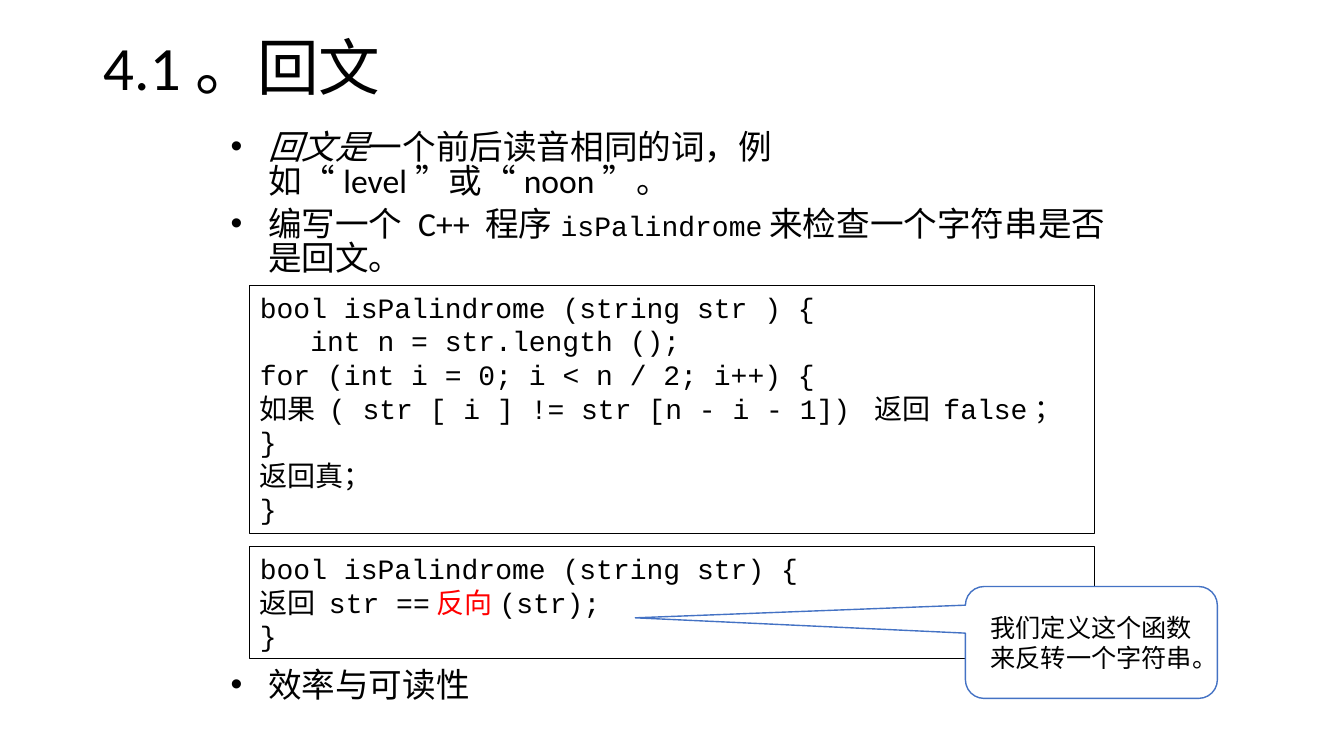
import pptx
import pptx.util
import pptx.dml.color
import pptx.enum.shapes
import pptx.enum.text
import pptx.oxml
import pptx.oxml.ns

Cm = pptx.util.Cm
Pt = pptx.util.Pt
Shape = pptx.enum.shapes.MSO_SHAPE
Align = pptx.enum.text.PP_ALIGN
Anchor = pptx.enum.text.MSO_ANCHOR


def color(code):
    return pptx.dml.color.RGBColor.from_string(code)


class Deck:
    sans = "Calibri"
    mono = "Courier New"
    ink = "000000"
    paper = "FFFFFF"
    red = "FF0000"
    blue = "4472C4"

    def __init__(self):
        self.show = pptx.Presentation()
        self.show.slide_width = Cm(33.87)
        self.show.slide_height = Cm(19.05)
        self.slide = self.show.slides.add_slide(self.show.slide_layouts[5])

    def style(self, para, size, face):
        para.font.size = Pt(size)
        para.font.name = face
        para.font.color.rgb = color(self.ink)

    def fill(self, frame, rows, size, face):
        frame.word_wrap = True
        for num, row in enumerate(rows):
            para = frame.add_paragraph() if num else frame.paragraphs[0]
            para.alignment = Align.LEFT
            self.style(para, size, face)
            for part in [row] if isinstance(row, str) else row:
                text, look = (part, {}) if isinstance(part, str) else part
                run = para.add_run()
                run.text = text
                run.font.italic = look.get("italic")
                if "face" in look:
                    run.font.name = look["face"]
                    run.font.size = Pt(look["size"])
                if "tint" in look:
                    run.font.color.rgb = color(look["tint"])
        return frame.paragraphs

    def indent(self, para, left, first=0):
        props = para._p.get_or_add_pPr()
        props.set("marL", str(Cm(left)))
        props.set("indent", str(Cm(first)))
        return props

    def title(self, text, box):
        head = self.slide.shapes.title
        head.left, head.top, head.width, head.height = map(Cm, box)
        frame = head.text_frame
        frame.auto_size = pptx.enum.text.MSO_AUTO_SIZE.NONE
        frame.vertical_anchor = Anchor.MIDDLE
        self.fill(frame, [text], 44, self.sans)[0].line_spacing = 0.9

    def list(self, rows, box):
        frame = self.slide.shapes.add_textbox(*map(Cm, box)).text_frame
        for para in self.fill(frame, rows, 24, self.sans):
            para.line_spacing = 0.85
            para.space_after = Pt(6)
            props = self.indent(para, 0.95, -0.95)
            for tag, key, value in (("buFont", "typeface", "Arial"), ("buChar", "char", "•")):
                mark = pptx.oxml.ns.qn("a:" + tag)
                props.append(props.makeelement(mark, {key: value}))

    def shape(self, kind, box, edge, width):
        item = self.slide.shapes.add_shape(kind, *map(Cm, box))
        item.shadow.inherit = False
        item.fill.solid()
        item.fill.fore_color.rgb = color(self.paper)
        item.line.color.rgb = color(edge)
        item.line.width = Pt(width)
        return item

    def code(self, rows, box):
        frame = self.shape(Shape.RECTANGLE, box, self.ink, 0.75).text_frame
        frame.vertical_anchor = Anchor.TOP
        return self.fill(frame, rows, 20, self.mono)

    def note(self, text, box, tip):
        item = self.shape(Shape.ROUNDED_RECTANGULAR_CALLOUT, box, self.blue, 1)
        item.adjustments[0], item.adjustments[1] = tip
        item.text_frame.vertical_anchor = Anchor.MIDDLE
        para = self.fill(item.text_frame, [text], 18, self.sans)[0]
        para.alignment = Align.CENTER


def main():
    deck = Deck()
    deck.title("4.1。回文", (2.34, -0.05, 31.11, 3.68))
    deck.list([
        [("回文是", {"italic": True}), "一个前后读音相同的词，例如“level”或“noon”。"],
        ["编写一个 C++ 程序", ("isPalindrome", {"face": deck.mono, "size": 20}),
         "来检查一个字符串是否是回文。"],
    ], (5.56, 3.2, 22.58, 3.99))
    deck.list(["效率与可读性"], (5.56, 16.75, 22.58, 1.2))
    loop = deck.code([
        "bool isPalindrome (string str ) {",
        "int n = str.length ();",
        "for (int i = 0; i < n / 2; i++) {",
        "如果 ( str [ i ] != str [n - i - 1]) 返回 false；",
        "}",
        "返回真；",
        "}",
    ], (6.3, 7.19, 21.29, 6.25))
    deck.indent(loop[1], 1.27)
    deck.code([
        "bool isPalindrome (string str) {",
        ["返回 str ==", ("反向", {"tint": deck.red}), "(str);"],
        "}",
    ], (6.3, 13.77, 21.29, 2.82))
    deck.note("我们定义这个函数来反转一个字符串。", (24.33, 14.78, 6.35, 2.82), (-1.81, -0.22))
    deck.show.save("out.pptx")


if __name__ == "__main__":
    main()
